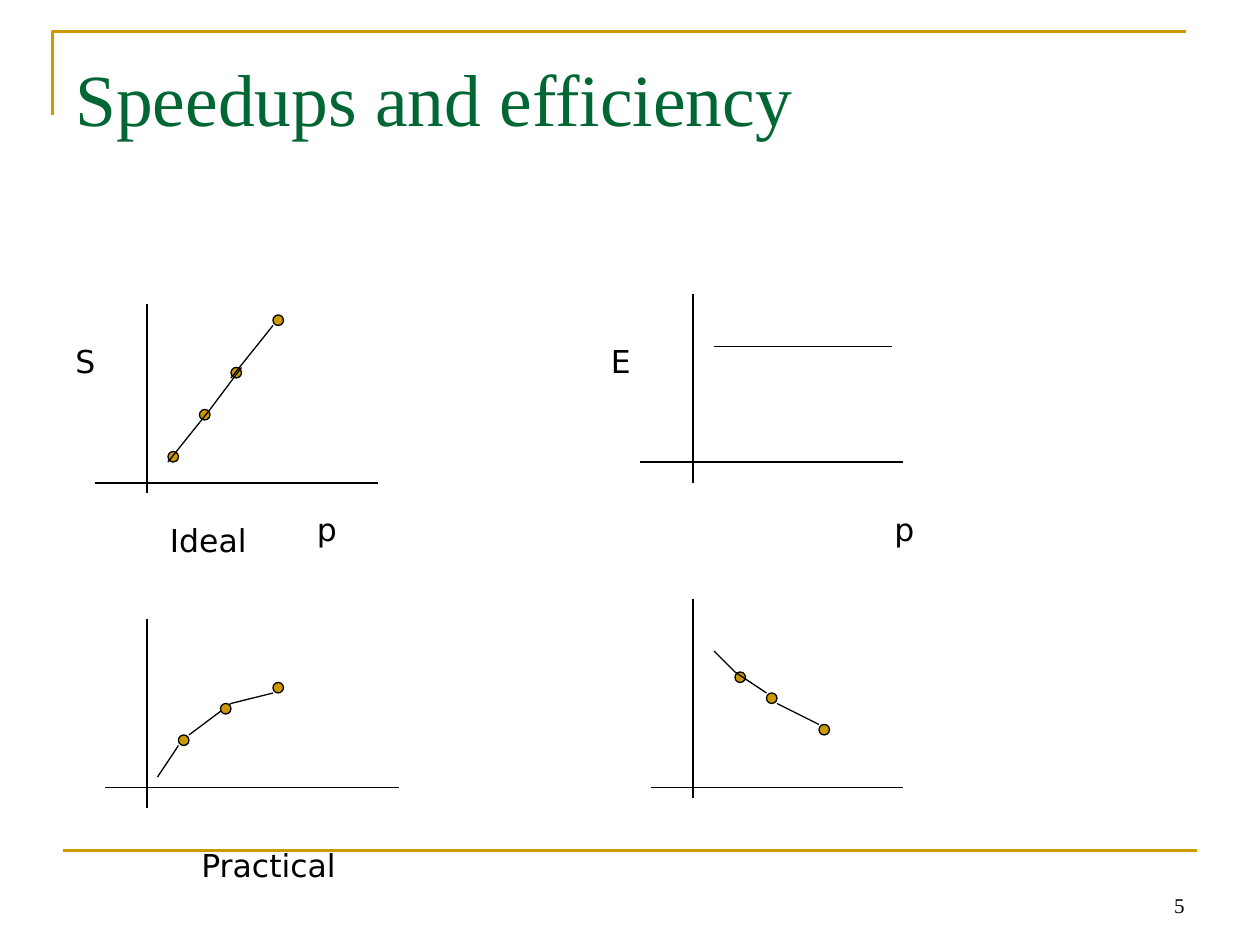
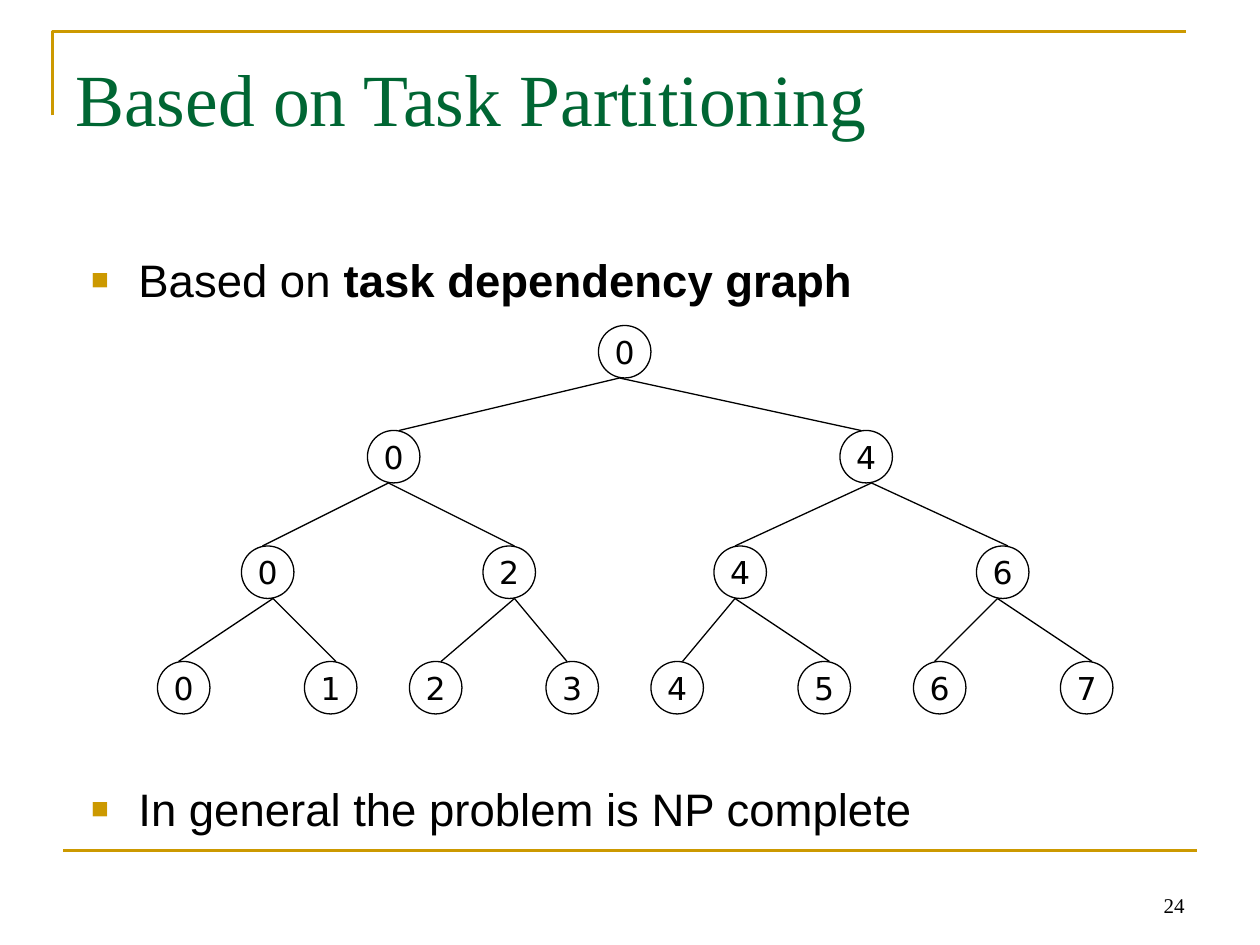
from pptx import Presentation
from pptx.dml.color import RGBColor
from pptx.enum.shapes import MSO_CONNECTOR as Connector, MSO_SHAPE as Shape
from pptx.enum.text import MSO_ANCHOR as Anchor, PP_ALIGN as Align
from pptx.oxml import parse_xml
from pptx.oxml.ns import nsdecls
from pptx.util import Pt

GOLD = RGBColor(0xCC, 0x99, 0x00)
GREEN = RGBColor(0x00, 0x66, 0x33)
BLACK = RGBColor(0x00, 0x00, 0x00)
WHITE = RGBColor(0xFF, 0xFF, 0xFF)

TITLE = {"name": "Times New Roman", "size": Pt(42)}
NUMBER = {"name": "Times New Roman", "size": Pt(12)}
LABEL = {"name": "DejaVu Sans", "size": Pt(18)}
BODY = {"name": "Arial", "size": Pt(26)}
DOT, NODE = 6, 30


def add_line(page, start, end, colour=BLACK, width=0.75):
    line = page.shapes.add_connector(Connector.STRAIGHT, *map(Pt, start + end))
    line.line.color.rgb = colour
    line.line.width = Pt(width)
    line._element.spPr.append(parse_xml(f"<a:effectLst {nsdecls('a')}/>"))


def write(box, spans, font, colour=BLACK, align=Align.LEFT, para=None, **frame):
    layout = {"word_wrap": True, "vertical_anchor": Anchor.TOP} | frame
    for name, value in layout.items():
        setattr(box.text_frame, name, value)
    para = para or box.text_frame.paragraphs[0]
    para.alignment = align
    for text, bold in spans:
        span = para.add_run()
        span.text = text
        for name, value in (font | {"bold": bold}).items():
            setattr(span.font, name, value)
        span.font.color.rgb = colour


plot_marks = [
    (84, 174, 84, 282), (54, 276, 216, 276),
    (96, 258), (114, 234), (132, 210), (156, 180),
    (96, 264, 120, 234), (120, 234, 138, 210), (132, 216, 156, 186),
    (84, 354, 84, 462), (60, 450, 228, 450),
    (90, 444, 102, 426), (102, 420), (108, 420, 132, 402), (126, 402),
    (132, 402, 156, 396), (156, 390),
    (396, 168, 396, 276), (366, 264, 516, 264), (408, 198, 510, 198),
    (396, 342, 396, 456), (372, 450, 516, 450),
    (408, 372, 420, 384), (420, 384), (420, 384, 438, 396), (438, 396),
    (444, 402, 468, 414), (468, 414),
]
plot_labels = [
    ("Ideal", 90, 294, 126), ("p", 174, 288, 42), ("S", 36, 192, 36),
    ("Practical", 108, 480, 114), ("p", 504, 288, 36), ("E", 342, 192, 30),
]

level_tops = [186, 246, 312, 378]
level_lefts = [
    [342],
    [210, 480],
    [138, 276, 408, 558],
    [90, 174, 234, 312, 372, 456, 522, 606],
]
edge_starts = [[354], [222, 498], [156, 294, 420, 570]]
edge_ends = [
    [228, 492],
    [150, 294, 420, 576],
    [102, 192, 252, 324, 390, 474, 534, 624],
]
tree_marks = []
for top, lefts in zip(level_tops, level_lefts):
    for index, left in enumerate(lefts):
        tree_marks.append((left, top, str(index * 8 // len(lefts))))
for level, ends in enumerate(edge_ends):
    for index, end in enumerate(ends):
        start = edge_starts[level][index // 2]
        tree_marks.append((start, level_tops[level] + NODE, end, level_tops[level + 1]))

tree_bullets = [
    (0, [("Based on ", False), ("task dependency graph", True)]),
    (271, [("In general the problem is NP complete", False)]),
]

pages = [
    ("Speedups and efficiency", "5", [], plot_marks, plot_labels),
    ("Based on Task Partitioning", "24", tree_bullets, tree_marks, []),
]

deck = Presentation()
deck.slide_width, deck.slide_height = Pt(720), Pt(540)

for title, number, bullets, marks, labels in pages:
    page = deck.slides.add_slide(deck.slide_layouts[6])

    outline = page.shapes.build_freeform(Pt(30), Pt(66))
    outline.add_line_segments([(Pt(30), Pt(18)), (Pt(678), Pt(18))], close=False)
    corner = outline.convert_to_shape()
    corner.shadow.inherit = False
    corner.fill.background()
    corner.line.color.rgb = GOLD
    corner.line.width = Pt(1.5)
    add_line(page, (36, 486), (684, 486), GOLD, 1.5)

    box = page.shapes.add_textbox(Pt(516), Pt(492), Pt(168), Pt(36))
    write(box, [(number, False)], NUMBER, align=Align.RIGHT, vertical_anchor=Anchor.BOTTOM)
    box = page.shapes.add_textbox(Pt(36), Pt(21.6), Pt(648), Pt(71.3))
    write(box, [(title, False)], TITLE, GREEN, margin_top=Pt(8.4))

    if bullets:
        box = page.shapes.add_textbox(Pt(45), Pt(138), Pt(630), Pt(372))
    for index, (gap, spans) in enumerate(bullets):
        para = box.text_frame.add_paragraph() if index else box.text_frame.paragraphs[0]
        properties = para._p.get_or_add_pPr()
        properties.set("marL", str(Pt(27)))
        properties.set("indent", str(-Pt(27)))
        for tag in (
            f'<a:buClr {nsdecls("a")}><a:srgbClr val="{GOLD}"/></a:buClr>',
            f'<a:buSzPct {nsdecls("a")} val="65000"/>',
            f'<a:buFont {nsdecls("a")} typeface="Arial"/>',
            f'<a:buChar {nsdecls("a")} char="■"/>',
        ):
            properties.append(parse_xml(tag))
        para.space_before = Pt(gap)
        write(box, spans, BODY, para=para, margin_top=Pt(6))

    for mark in marks:
        if len(mark) == 4:
            add_line(page, mark[:2], mark[2:])
            continue
        left, top, *value = mark
        size = NODE if value else DOT
        circle = page.shapes.add_shape(Shape.OVAL, Pt(left), Pt(top), Pt(size), Pt(size))
        circle.shadow.inherit = False
        circle.fill.solid()
        circle.fill.fore_color.rgb = WHITE if value else GOLD
        circle.line.color.rgb = BLACK
        circle.line.width = Pt(0.75)
        if value:
            write(circle, [(value[0], False)], LABEL, align=Align.CENTER,
                  word_wrap=False, vertical_anchor=Anchor.MIDDLE)

    for text, left, top, width in labels:
        box = page.shapes.add_textbox(Pt(left), Pt(top), Pt(width), Pt(28.8))
        write(box, [(text, False)], LABEL)

deck.save("out.pptx")
